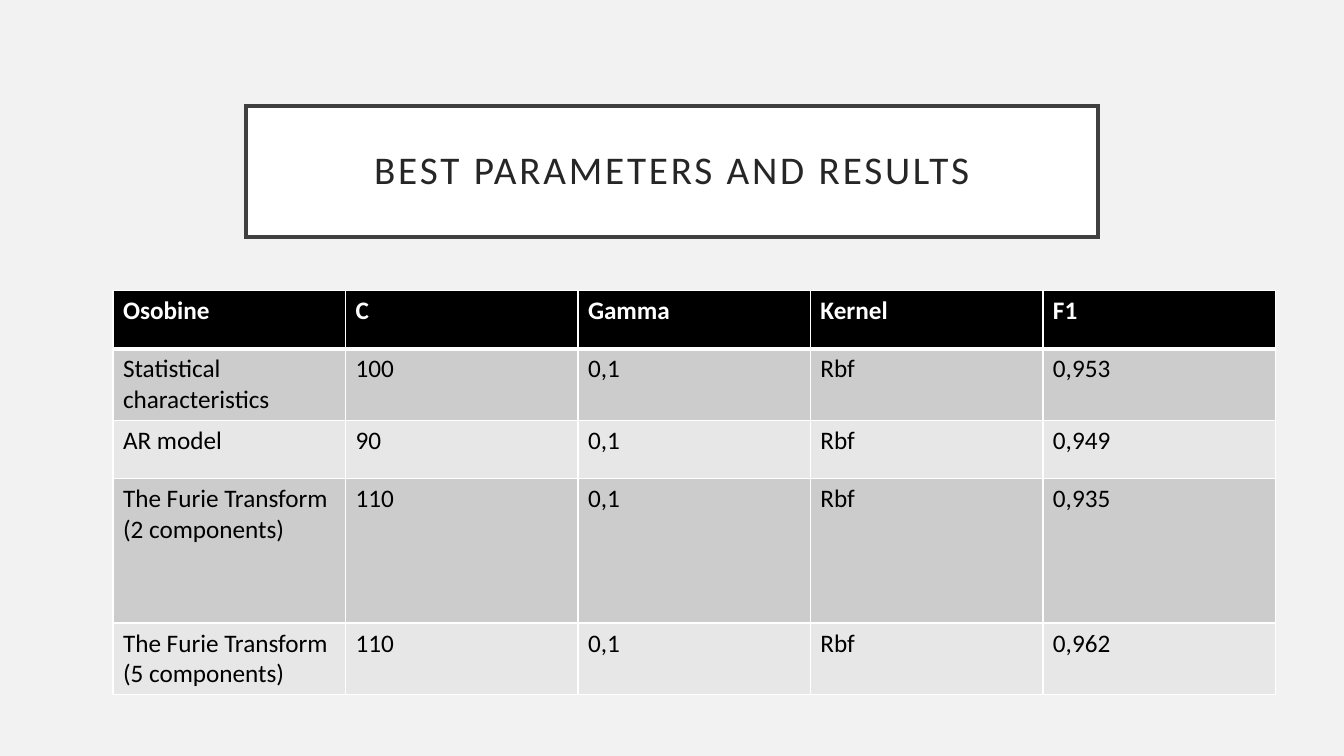
from dataclasses import dataclass

from lxml.etree import SubElement
from pptx import Presentation
from pptx.dml.color import RGBColor as Color
from pptx.enum.shapes import MSO_SHAPE as Preset
from pptx.enum.text import MSO_ANCHOR as Anchor, PP_ALIGN as Align
from pptx.oxml.ns import qn
from pptx.slide import Slide
from pptx.table import _Cell as Cell
from pptx.text.text import TextFrame
from pptx.util import Inches, Pt


@dataclass(frozen=True)
class Theme:
    font: str = "Calibri"
    title_size: int = 28
    table_size: int = 18
    background: str = "F2F2F2"
    white: str = "FFFFFF"
    black: str = "000000"
    title_text: str = "262626"
    title_line: str = "404040"
    bands: tuple[str, str] = ("CCCCCC", "E7E7E7")


@dataclass(frozen=True)
class Box:
    left: float
    top: float
    width: float
    height: float

    def lengths(self) -> tuple[int, int, int, int]:
        return (Inches(self.left), Inches(self.top), Inches(self.width), Inches(self.height))


@dataclass(frozen=True)
class Result:
    features: str
    c: str
    gamma: str
    kernel: str
    f1: str
    height: float = 0.58

    def values(self) -> tuple[str, ...]:
        return (self.features, self.c, self.gamma, self.kernel, self.f1)


THEME = Theme()
SLIDE_WIDTH, SLIDE_HEIGHT = 13.33, 7.5
TITLE_BOX = Box(SLIDE_WIDTH / 2 - 8.45 / 2, 0.14 * SLIDE_HEIGHT, 8.45, 1.3)
TABLE_LEFT, TABLE_TOP, TABLE_WIDTH = 1.12, 2.88, 11.53
THIN, THICK = 1, 3

RESULTS = (
    Result("Osobine", "C", "Gamma", "Kernel", "F1"),
    Result("Statistical characteristics", "100", "0,1", "Rbf", "0,953"),
    Result("AR model", "90", "0,1", "Rbf", "0,949"),
    Result("The Furie Transform\n(2 components)", "110", "0,1", "Rbf", "0,935", 1.43),
    Result("The Furie Transform\n(5 components)", "110", "0,1", "Rbf", "0,962"),
)


def write_text(frame: TextFrame, text: str, *, size: int, color: str, bold: bool = False,
               align: Align = Align.LEFT, line_spacing: float = 1.0, tracking: float = 0) -> None:
    frame.word_wrap = True
    paragraph = frame.paragraphs[0]
    paragraph.alignment = align
    paragraph.line_spacing = line_spacing
    for index, line in enumerate(text.split("\n")):
        if index:
            paragraph.add_line_break()
        run = paragraph.add_run()
        run.text = line
        run.font.name = THEME.font
        run.font.size = Pt(size)
        run.font.bold = bold
        run.font.color.rgb = Color.from_string(color)
        if tracking:
            run.font._element.set("spc", str(int(tracking * 100)))


def draw_title(slide: Slide, text: str) -> None:
    shape = slide.shapes.add_shape(Preset.RECTANGLE, *TITLE_BOX.lengths())
    shape.shadow.inherit = False
    shape.fill.solid()
    shape.fill.fore_color.rgb = Color.from_string(THEME.white)
    shape.line.color.rgb = Color.from_string(THEME.title_line)
    shape.line.width = Pt(2.5)
    SubElement(shape.line._get_or_add_ln(), qn("a:miter"), lim="800000")
    frame = shape.text_frame
    frame.vertical_anchor = Anchor.MIDDLE
    frame.margin_left = frame.margin_right = Inches(0.2)
    frame.margin_top = frame.margin_bottom = Inches(0.2)
    write_text(frame, text, size=THEME.title_size, color=THEME.title_text,
               align=Align.CENTER, line_spacing=0.9, tracking=2)


def draw_borders(cell: Cell, *, top: float, bottom: float) -> None:
    properties = cell._tc.get_or_add_tcPr()
    for side, width in (("L", THIN), ("R", THIN), ("T", top), ("B", bottom)):
        border = SubElement(properties, qn(f"a:ln{side}"), w=str(Pt(width)))
        fill = SubElement(border, qn("a:solidFill"))
        SubElement(fill, qn("a:srgbClr"), val=THEME.white)


def draw_results(slide: Slide, results: tuple[Result, ...]) -> None:
    columns = len(results[0].values())
    box = Box(TABLE_LEFT, TABLE_TOP, TABLE_WIDTH, sum(result.height for result in results))
    table = slide.shapes.add_table(len(results), columns, *box.lengths()).table
    for column in table.columns:
        column.width = Inches(TABLE_WIDTH / columns)
    for row, result in enumerate(results):
        table.rows[row].height = Inches(result.height)
        header = row == 0
        fill = THEME.black if header else THEME.bands[(row - 1) % 2]
        for column, value in enumerate(result.values()):
            cell = table.cell(row, column)
            draw_borders(cell, top=THICK if row == 1 else THIN, bottom=THICK if header else THIN)
            cell.fill.solid()
            cell.fill.fore_color.rgb = Color.from_string(fill)
            write_text(cell.text_frame, value, size=THEME.table_size, bold=header,
                       color=THEME.white if header else THEME.black)


def main() -> None:
    presentation = Presentation()
    presentation.slide_width = Inches(SLIDE_WIDTH)
    presentation.slide_height = Inches(SLIDE_HEIGHT)
    slide = presentation.slides.add_slide(presentation.slide_layouts[6])
    slide.background.fill.solid()
    slide.background.fill.fore_color.rgb = Color.from_string(THEME.background)
    draw_title(slide, "BEST PARAMETERS AND RESULTS")
    draw_results(slide, RESULTS)
    presentation.save("out.pptx")


if __name__ == "__main__":
    main()
